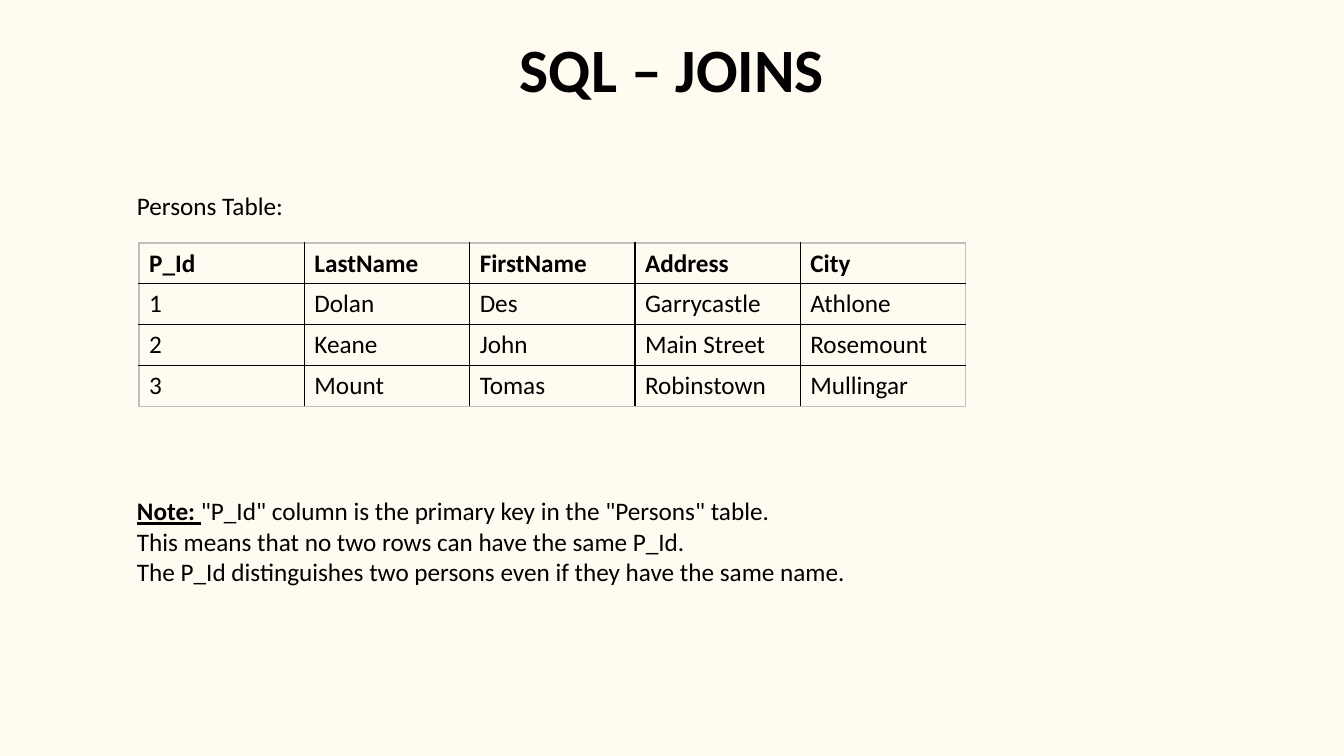
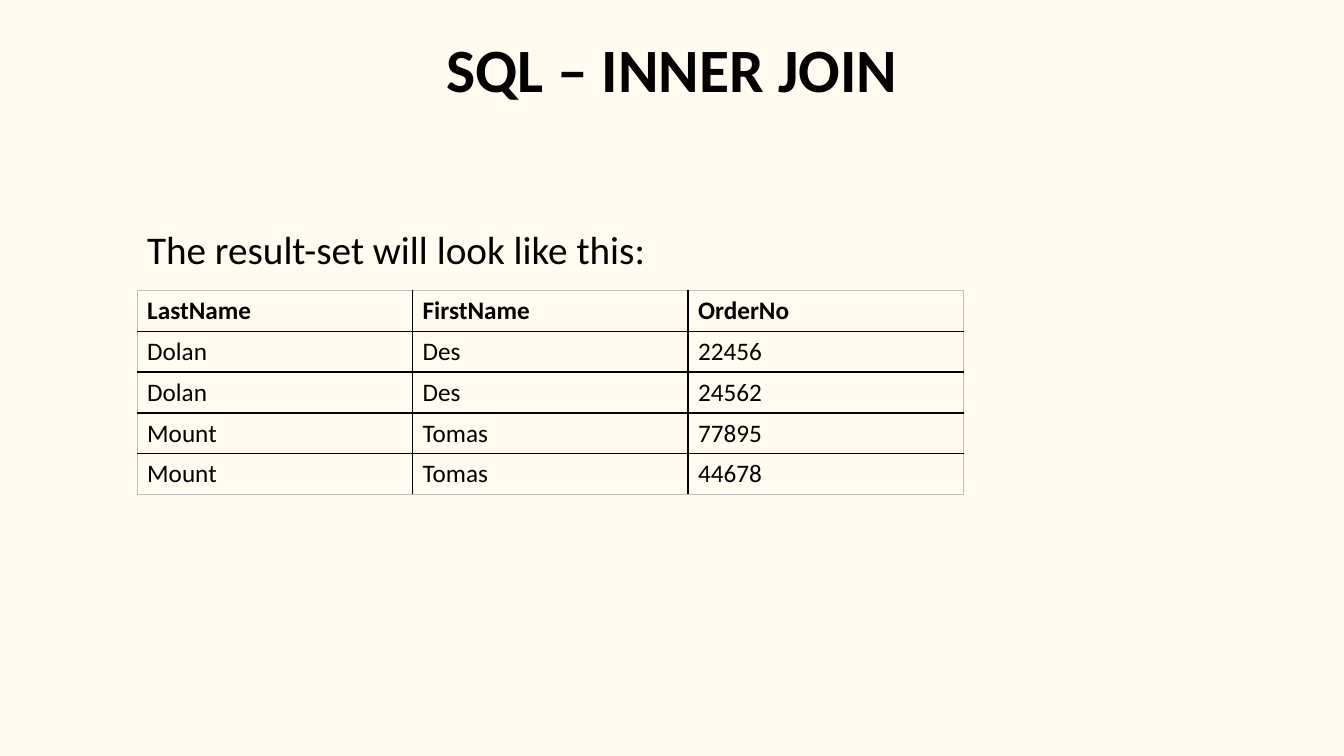
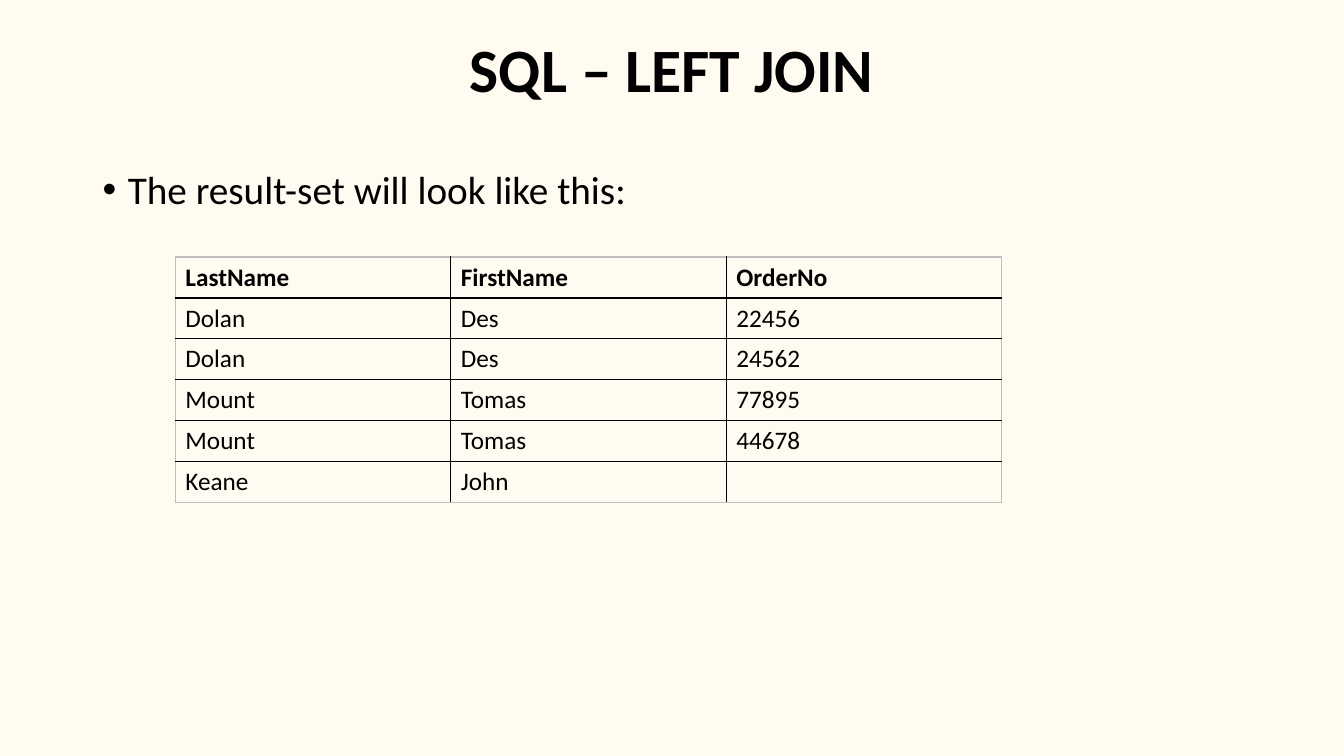
from dataclasses import dataclass
from typing import NamedTuple

from lxml import etree
from pptx import Presentation
from pptx import util as u
from pptx.dml.color import RGBColor
from pptx.enum import text
from pptx.oxml import ns

# Shared look
COLORS = {"background": "FFFBF1", "ink": "000000", "outline": "BFBFBF"}
FONT = "Calibri"
TITLE_SIZE, LEAD_SIZE, BODY_SIZE = 44, 28, 18
WIDTH, HEIGHT = u.Inches(13.33), u.Inches(7.5)
ROW_HEIGHT = 5.4    # percent of the slide height
TABLE_WIDTH = 61.5  # percent of the slide width


class Box(NamedTuple):
    """Left, top, width and height in percent of the slide."""
    x: float
    y: float
    w: float
    h: float

    def emu(self) -> tuple[int, ...]:
        sides = (WIDTH, HEIGHT, WIDTH, HEIGHT)
        return tuple(round(v * s / 100) for v, s in zip(self, sides))


@dataclass
class Label:
    box: Box
    paragraphs: list[str]
    size: int = BODY_SIZE
    lead_in: str = ""
    bullet: bool = False
    middle: bool = False
    wrap: bool = True


@dataclass
class Page:
    title: str
    table_at: tuple[float, float]
    rows: list[tuple[str, ...]]
    labels: list[Label]


TITLE_BOX = Box(0, 1.87, 100, 15.47)
RESULT_TEXT = "The result-set will look like this:"
INNER_ROWS = [
    ("LastName", "FirstName", "OrderNo"),
    ("Dolan", "Des", "22456"),
    ("Dolan", "Des", "24562"),
    ("Mount", "Tomas", "77895"),
    ("Mount", "Tomas", "44678"),
]

# Content
PAGES = [
    Page("SQL – JOINS", (10.35, 32.13), [
        ("P_Id", "LastName", "FirstName", "Address", "City"),
        ("1", "Dolan", "Des", "Garrycastle", "Athlone"),
        ("2", "Keane", "John", "Main Street", "Rosemount"),
        ("3", "Mount", "Tomas", "Robinstown", "Mullingar"),
    ], [
        Label(Box(9.45, 24.53, 14, 5.33), ["Persons Table:"], wrap=False),
        Label(Box(9.45, 64.93, 77.87, 13.47), [
            '"P_Id" column is the primary key in the "Persons" table.',
            "This means that no two rows can have the same P_Id.",
            "The P_Id distinguishes two persons even if they have the same name.",
        ], lead_in="Note: "),
    ]),
    Page("SQL – INNER JOIN", (10.2, 38.4), INNER_ROWS, [
        Label(Box(10.2, 29.07, 49, 7.6), [RESULT_TEXT], LEAD_SIZE, middle=True),
    ]),
    Page("SQL – LEFT JOIN", (13.05, 34), INNER_ROWS + [("Keane", "John", "")], [
        Label(Box(6.9, 18.13, 91.15, 72), [RESULT_TEXT], LEAD_SIZE, bullet=True),
    ]),
]


def add_run(p, content: str, size: int = BODY_SIZE, bold: bool = False,
            underline: bool = False) -> None:
    r = p.add_run()
    r.text = content
    f = r.font
    f.name, f.size, f.bold, f.underline = FONT, u.Pt(size), bold, underline
    f.color.rgb = RGBColor.from_string(COLORS["ink"])


def set_bullet(p) -> None:
    p.line_spacing = 1.5
    p.space_before = u.Pt(10)
    pPr = p._p.get_or_add_pPr()
    pPr.set("marL", str(u.Inches(0.25)))
    pPr.set("indent", str(-u.Inches(0.25)))
    etree.SubElement(pPr, ns.qn("a:buFont"), typeface="Arial")
    etree.SubElement(pPr, ns.qn("a:buChar"), char="•")


def add_title(slide, title: str) -> None:
    sp = slide.shapes.title
    sp.left, sp.top, sp.width, sp.height = TITLE_BOX.emu()
    tf = sp.text_frame
    tf.vertical_anchor = text.MSO_ANCHOR.MIDDLE
    p = tf.paragraphs[0]
    p.alignment = text.PP_ALIGN.CENTER
    p.line_spacing = 0.9
    add_run(p, title, size=TITLE_SIZE, bold=True)


def add_label(slide, label: Label) -> None:
    tf = slide.shapes.add_textbox(*label.box.emu()).text_frame
    tf.word_wrap = label.wrap
    if label.middle:
        tf.vertical_anchor = text.MSO_ANCHOR.MIDDLE
    for i, content in enumerate(label.paragraphs):
        p = tf.add_paragraph() if i else tf.paragraphs[0]
        if label.bullet:
            set_bullet(p)
        if label.lead_in and i == 0:
            add_run(p, label.lead_in, size=label.size, bold=True, underline=True)
        add_run(p, content, size=label.size)


def set_border(cell, side: str, color: str) -> None:
    ln = etree.SubElement(cell._tc.get_or_add_tcPr(), ns.qn(f"a:ln{side}"),
                          w=str(u.Pt(1)))
    fill = etree.SubElement(ln, ns.qn("a:solidFill"))
    etree.SubElement(fill, ns.qn("a:srgbClr"), val=color)


def add_table(slide, at: tuple[float, float], rows: list[tuple[str, ...]]) -> None:
    n_rows, n_cols = len(rows), len(rows[0])
    box = Box(*at, TABLE_WIDTH, ROW_HEIGHT * n_rows)
    table = slide.shapes.add_table(n_rows, n_cols, *box.emu()).table
    table.first_row = table.horz_banding = False
    for i, row in enumerate(rows):
        for j, content in enumerate(row):
            cell = table.cell(i, j)
            cell.vertical_anchor = text.MSO_ANCHOR.MIDDLE
            # Pale outer edge, dark inner grid
            on_edge = {"L": j == 0, "R": j == n_cols - 1,
                       "T": i == 0, "B": i == n_rows - 1}
            for side, outer in on_edge.items():
                set_border(cell, side, COLORS["outline" if outer else "ink"])
            cell.fill.background()
            if content:
                add_run(cell.text_frame.paragraphs[0], content, bold=i == 0)


def main() -> None:
    prs = Presentation()
    prs.slide_width, prs.slide_height = WIDTH, HEIGHT
    fill = prs.slide_master.background.fill
    fill.solid()
    fill.fore_color.rgb = RGBColor.from_string(COLORS["background"])
    title_only = prs.slide_layouts.get_by_name("Title Only")
    for page in PAGES:
        slide = prs.slides.add_slide(title_only)
        add_title(slide, page.title)
        add_table(slide, page.table_at, page.rows)
        for label in page.labels:
            add_label(slide, label)
    prs.save("out.pptx")


if __name__ == "__main__":
    main()
